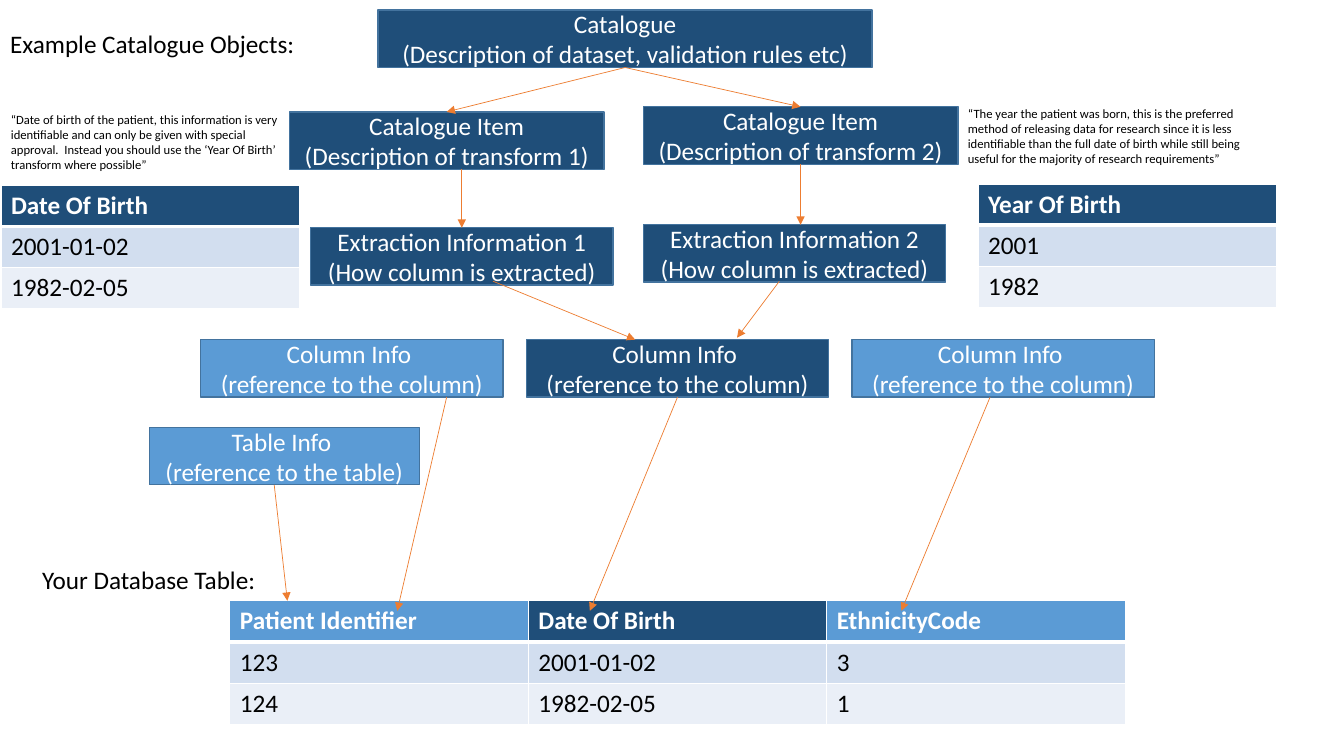
"""Build a slide that traces catalogue objects down to the database table they describe."""
from dataclasses import dataclass

from lxml import etree
from pptx import Presentation
from pptx.dml.color import RGBColor
from pptx.enum.shapes import MSO_CONNECTOR, MSO_SHAPE
from pptx.enum.text import MSO_ANCHOR, MSO_AUTO_SIZE, PP_ALIGN
from pptx.oxml import parse_xml
from pptx.oxml.ns import nsdecls, qn
from pptx.util import Inches, Pt

STRAIGHT = MSO_CONNECTOR.STRAIGHT
RECTANGLE = MSO_SHAPE.RECTANGLE
LEFT, CENTER = PP_ALIGN.LEFT, PP_ALIGN.CENTER
TOP, MIDDLE = MSO_ANCHOR.TOP, MSO_ANCHOR.MIDDLE
NO_AUTOFIT = MSO_AUTO_SIZE.NONE
TOP_SIDE, BOTTOM_SIDE = 0, 2


@dataclass(frozen=True)
class Theme:
    font: str = "Calibri"
    size: int = 18
    note_size: int = 9
    dark: str = "1F4E79"
    light: str = "5B9BD5"
    outline: str = "43739E"
    arrow: str = "ED7D31"
    text: str = "000000"
    inverse: str = "FFFFFF"
    bands: tuple = ("D2DEEF", "EAEFF7")


THEME = Theme()
BOX_HEIGHT = 0.57
COLUMN_WIDTH = 2.96
ROW_HEIGHT = 0.41

TITLE = ("Example Catalogue Objects:", (0, 0.23, 3.08, 0.4))
LABELS = [
    ("Your Database Table:", (0.32, 5.55, 2.5, 0.4), THEME.size),
    ("“Date of birth of the patient, this information is very identifiable and can only be "
     "given with special approval.  Instead you should use the ‘Year Of Birth’ transform "
     "where possible”", (0.01, 1.06, 3.01, 0.71), THEME.note_size),
    ("“The year the patient was born, this is the preferred method of releasing data for "
     "research since it is less identifiable than the full date of birth while still being "
     "useful for the majority of research requirements”", (9.5, 1, 3.08, 0.71), THEME.note_size),
]

COLUMN_TEXT = ("Column Info ", "(reference to the column)")
BOXES = {
    "catalogue": (("Catalogue", "(Description of dataset, validation rules etc)"),
                  3.75, 0.1, 4.9, THEME.dark),
    "item 1": (("Catalogue Item", "(Description of transform 1)"), 2.87, 1.11, 3.12, THEME.dark),
    "item 2": (("Catalogue Item", "(Description of transform 2)"), 6.38, 1.06, 3.12, THEME.dark),
    "extraction 1": (("Extraction Information 1", "(How column is extracted)"),
                     3.08, 2.26, 3, THEME.dark),
    "extraction 2": (("Extraction Information 2", "(How column is extracted)"),
                     6.38, 2.23, 3, THEME.dark),
    "patient column": (COLUMN_TEXT, 1.99, 3.37, 3, THEME.light),
    "birth column": (COLUMN_TEXT, 5.22, 3.37, 3, THEME.dark),
    "ethnicity column": (COLUMN_TEXT, 8.45, 3.37, 3, THEME.light),
    "table": (("Table Info ", "(reference to the table)"), 1.48, 4.24, 2.68, THEME.light),
}

TABLES = [
    (2.28, 5.96, ROW_HEIGHT, (THEME.light, THEME.dark, THEME.light), [
        ("Patient Identifier", "Date Of Birth", "EthnicityCode"),
        ("123", "2001-01-02", "3"),
        ("124", "1982-02-05", "1")]),
    (0.01, 1.84, 0.37, (THEME.dark,), [("Date Of Birth",), ("2001-01-02",), ("1982-02-05",)]),
    (9.7, 1.83, 0.37, (THEME.dark,), [("Year Of Birth",), ("2001",), ("1982",)]),
]

ARROWS = [
    ("catalogue", "item 1"),
    ("catalogue", "item 2"),
    ((4.58, 1.68), "extraction 1"),
    ("item 2", (7.94, 2.23)),
    ((4.89, 2.79), (6.3, 3.37)),
    ((7.73, 2.79), (7.31, 3.35)),
    ((4.43, 3.94), (3.94, 6.06)),
    ("birth column", (5.85, 6.06)),
    ((9.82, 3.94), (8.94, 6.06)),
    ((2.72, 4.81), (2.85, 5.96)),
]


def color(value):
    return RGBColor.from_string(value)


def write(frame, lines, size=THEME.size, ink=THEME.text, bold=False, align=LEFT, anchor=TOP):
    frame.word_wrap = True
    frame.vertical_anchor = anchor
    for index, line in enumerate(lines):
        para = frame.add_paragraph() if index else frame.paragraphs[0]
        para.alignment = align
        span = para.add_run()
        span.text = line
        span.font.name = THEME.font
        span.font.size = Pt(size)
        span.font.bold = bold
        span.font.color.rgb = color(ink)


def add_title(page, text, place):
    title = page.shapes.title
    title.left, title.top, title.width, title.height = map(Inches, place)
    title.text_frame.auto_size = NO_AUTOFIT
    write(title.text_frame, [text])


def add_box(page, lines, left, top, width, fill):
    box = page.shapes.add_shape(RECTANGLE, *map(Inches, (left, top, width, BOX_HEIGHT)))
    box.shadow.inherit = False
    box.fill.solid()
    box.fill.fore_color.rgb = color(fill)
    box.line.color.rgb = color(THEME.outline)
    box.line.width = Pt(1)
    write(box.text_frame, lines, ink=THEME.inverse, align=CENTER, anchor=MIDDLE)
    return box


def add_borders(cell, bottom):
    properties = cell._tc.get_or_add_tcPr()
    widths = {"lnL": 1, "lnR": 1, "lnT": 1, "lnB": bottom}
    for index, (side, width) in enumerate(widths.items()):
        properties.insert(index, parse_xml(
            f'<a:{side} {nsdecls("a")} w="{Pt(width)}"><a:solidFill>'
            f'<a:srgbClr val="{THEME.inverse}"/></a:solidFill></a:{side}>'))


def add_grid(page, left, top, header_height, header_fills, rows):
    heights = [header_height] + [ROW_HEIGHT] * (len(rows) - 1)
    width = COLUMN_WIDTH * len(header_fills)
    table = page.shapes.add_table(len(rows), len(header_fills),
                                  *map(Inches, (left, top, width, sum(heights)))).table
    for column in table.columns:
        column.width = Inches(COLUMN_WIDTH)
    for r, values in enumerate(rows):
        table.rows[r].height = Inches(heights[r])
        header = r == 0
        for c, value in enumerate(values):
            cell = table.cell(r, c)
            cell.fill.solid()
            cell.fill.fore_color.rgb = color(header_fills[c] if header else THEME.bands[r - 1])
            write(cell.text_frame, [value], bold=header,
                  ink=THEME.inverse if header else THEME.text)
            add_borders(cell, bottom=3 if header else 1)


def add_arrow(page, boxes, start, end):
    begin_point = (0, 0) if start in boxes else start
    end_point = (0, 0) if end in boxes else end
    arrow = page.shapes.add_connector(STRAIGHT, *map(Inches, begin_point + end_point))
    if start in boxes:
        arrow.begin_connect(boxes[start], BOTTOM_SIDE)
    if end in boxes:
        arrow.end_connect(boxes[end], TOP_SIDE)
    arrow.line.color.rgb = color(THEME.arrow)
    arrow.line.width = Pt(0.5)
    etree.SubElement(arrow.line._get_or_add_ln(), qn("a:tailEnd"), type="triangle")
    etree.SubElement(arrow._element.spPr, qn("a:effectLst"))


def main():
    deck = Presentation()
    deck.slide_width, deck.slide_height = Inches(13.33), Inches(7.5)
    page = deck.slides.add_slide(deck.slide_layouts.get_by_name("Title Only"))
    add_title(page, *TITLE)
    for table in TABLES:
        add_grid(page, *table)
    boxes = {name: add_box(page, *box) for name, box in BOXES.items()}
    for start, end in ARROWS:
        add_arrow(page, boxes, start, end)
    for text, place, size in LABELS:
        label = page.shapes.add_textbox(*map(Inches, place))
        write(label.text_frame, [text], size=size)
    deck.save("out.pptx")


if __name__ == "__main__":
    main()
